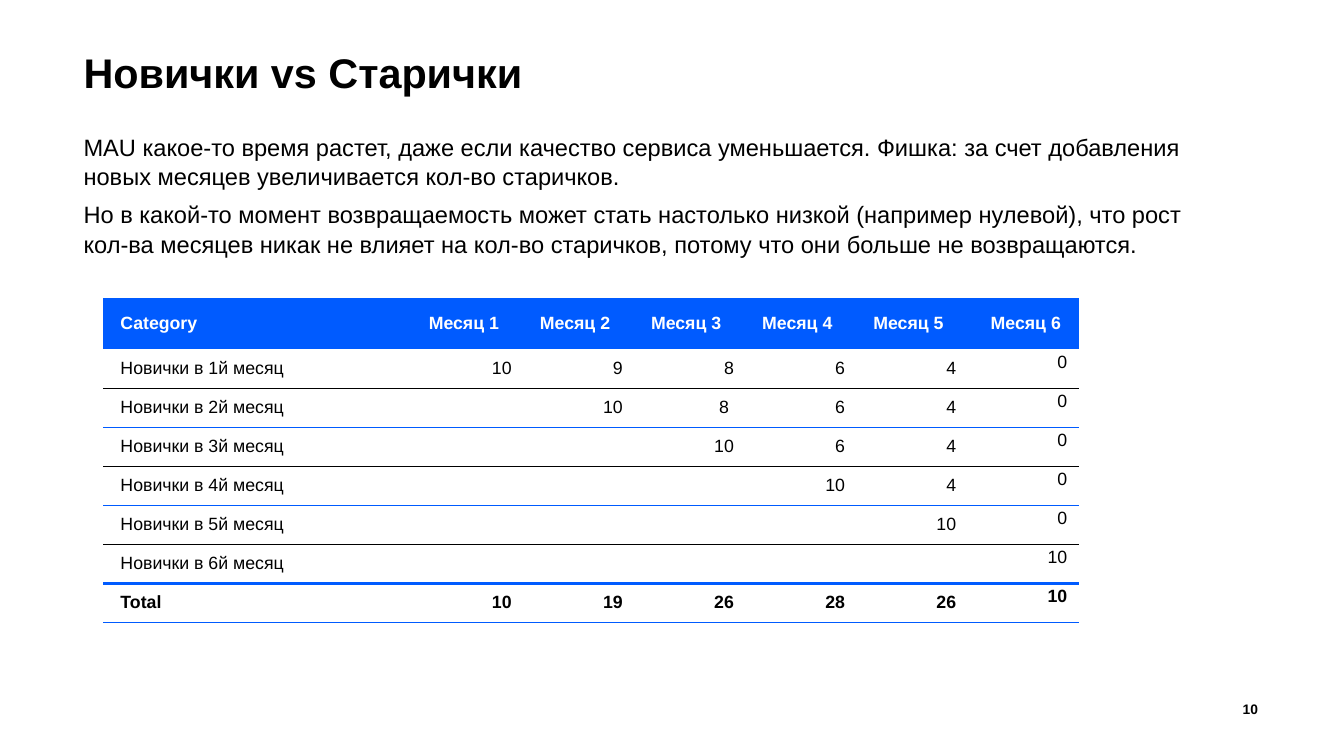
from pptx import Presentation
from pptx.dml.color import RGBColor
from pptx.enum.text import MSO_ANCHOR, MSO_AUTO_SIZE, PP_ALIGN
from pptx.oxml import parse_xml
from pptx.oxml.ns import nsdecls
from pptx.util import Inches, Pt

LEFT, MID, RIGHT = PP_ALIGN.LEFT, PP_ALIGN.CENTER, PP_ALIGN.RIGHT
TOP, CENTER, BOTTOM = MSO_ANCHOR.TOP, MSO_ANCHOR.MIDDLE, MSO_ANCHOR.BOTTOM
FIXED = MSO_AUTO_SIZE.NONE

BLUE, BLACK, WHITE = "005BFF", "000000", "FFFFFF"
MONTHS = 6
HEAD = ["Category", "Месяц 1", "Месяц 2", "Месяц 3", "Месяц 4", "Месяц 5", "Месяц 6"]
COUNTS = [
    ["10", "9", "8", "6", "4", "0"],
    ["", "10", "8 ", "6", "4", "0"],
    ["", "", "10", "6", "4", "0"],
    ["", "", "", "10", "4", "0"],
    ["", "", "", "", "10", "0"],
    ["", "", "", "", "", "10"],
]
TOTAL = ["Total", "10", "19", "26", "28", "26", "10"]
NOTES = [
    "MAU какое-то время растет, даже если качество сервиса уменьшается. "
    "Фишка: за счет добавления новых месяцев увеличивается кол-во старичков.",
    "Но в какой-то момент возвращаемость может стать настолько низкой "
    "(например нулевой), что рост кол-ва месяцев никак не влияет на кол-во "
    "старичков, потому что они больше не возвращаются.",
]


def color(code):
    """Turn a hex string into a colour."""
    return RGBColor.from_string(code)


def write(frame, *lines, size=18, bold=False, ink=BLACK, align=LEFT, space=1.0, gap=0):
    """Write each line as a paragraph in the given format."""
    for i, line in enumerate(lines):
        para = frame.add_paragraph() if i else frame.paragraphs[0]
        para.alignment = align
        para.line_spacing = space
        para.space_before = Pt(gap if i else 0)
        run = para.add_run()
        run.text = line
        run.font.name = "Arial"
        run.font.size = Pt(size)
        run.font.bold = bold
        run.font.color.rgb = color(ink)


def inset(item, left, top, right, bottom):
    """Set the inner margins of a frame or cell in inches."""
    item.margin_left, item.margin_top = Inches(left), Inches(top)
    item.margin_right, item.margin_bottom = Inches(right), Inches(bottom)


def border(cell, upper, lower):
    """Rule a cell above and below, each given as colour and width."""
    props = cell._tc.get_or_add_tcPr()
    sides = {"lnL": None, "lnR": None, "lnT": upper, "lnB": lower}
    for i, (tag, rule) in enumerate(sides.items()):
        fill, width = "<a:noFill/>", 0
        if rule:
            fill = f'<a:solidFill><a:srgbClr val="{rule[0]}"/></a:solidFill>'
            width = Pt(rule[1])
        props.insert(i, parse_xml(f'<a:{tag} {nsdecls("a")} w="{width}">{fill}</a:{tag}>'))


class Deck:
    """Hold the slide and place elements by percent of its size."""

    def __init__(self, width, height):
        """Open a title-only slide of the given size in inches."""
        self.file = Presentation()
        self.file.slide_width, self.file.slide_height = Inches(width), Inches(height)
        self.slide = self.file.slides.add_slide(self.file.slide_layouts[5])

    def across(self, share):
        """Give a percent of the slide's width."""
        return int(self.file.slide_width * share / 100)

    def down(self, share):
        """Give a percent of the slide's height."""
        return int(self.file.slide_height * share / 100)

    def place(self, x, y, w, h):
        """Give a place on the slide."""
        return self.across(x), self.down(y), self.across(w), self.down(h)

    def title(self, line, *area):
        """Move, format and fill the title."""
        shape = self.slide.shapes.title
        shape.left, shape.top, shape.width, shape.height = self.place(*area)
        frame = shape.text_frame
        frame.auto_size, frame.vertical_anchor = FIXED, TOP
        inset(frame, 0, 0.12, 0, 0)
        write(frame, line, size=42, bold=True, space=0.9)

    def text(self, lines, *area, pad=(0, 0, 0, 0), anchor=TOP, **style):
        """Add a wrapped text box."""
        frame = self.slide.shapes.add_textbox(*self.place(*area)).text_frame
        frame.word_wrap, frame.vertical_anchor = True, anchor
        inset(frame, *pad)
        write(frame, *lines, **style)

    def table(self, rows, x, y, cols, highs):
        """Add the table of counts with its rules."""
        area = self.place(x, y, sum(cols), sum(highs))
        grid = self.slide.shapes.add_table(len(rows), len(cols), *area).table
        grid.horz_banding = False
        for col, share in zip(grid.columns, cols):
            col.width = self.across(share)
        for row, share in zip(grid.rows, highs):
            row.height = self.down(share)
        thin = [(BLACK if i % 2 else BLUE, 1) for i in range(1, MONTHS)]
        rules = [(BLUE, 1.5), None, *thin, (BLUE, 3), (BLUE, 1.5)]
        for r, row in enumerate(rows):
            for c, value in enumerate(row):
                self.cell(grid.cell(r, c), value, r, c, rules[r:r + 2])

    def cell(self, cell, value, r, c, rules):
        """Fill one cell by its row and column."""
        head, last = r == 0, c == MONTHS
        cell.fill.solid()
        cell.fill.fore_color.rgb = color(BLUE if head else WHITE)
        cell.vertical_anchor = TOP if last and not head else CENTER
        inset(cell, 0.24, 0.05, 0.16 if c else 0.39, 0.05)
        border(cell, *rules)
        align = RIGHT if c else LEFT
        if head:
            align = MID if last else LEFT
        if value:
            write(cell.text_frame, value, bold=head or r > MONTHS,
                  ink=WHITE if head else BLACK, align=align)


def main():
    """Build and save the slide."""
    deck = Deck(18.96, 10.66)
    deck.title("Новички vs Старички", 6.22, 5.91, 87.55, 11.63)
    deck.text(["10"], 88.55, 92.03, 5.27, 3.47, pad=(0.04, 0, 0.04, 0.06),
              anchor=BOTTOM, size=14, bold=True, align=RIGHT)
    body = [[f"Новички в {i}й месяц", *row] for i, row in enumerate(COUNTS, 1)]
    deck.table([HEAD, *body, TOTAL], 7.7, 39.49,
               [22.94] + [8.27] * MONTHS, [6.66] + [5.17] * (MONTHS + 1))
    deck.text(NOTES, 6.22, 17.35, 82.59, 23.45, size=24, space=1.05, gap=8)
    deck.file.save("out.pptx")


if __name__ == "__main__":
    main()
